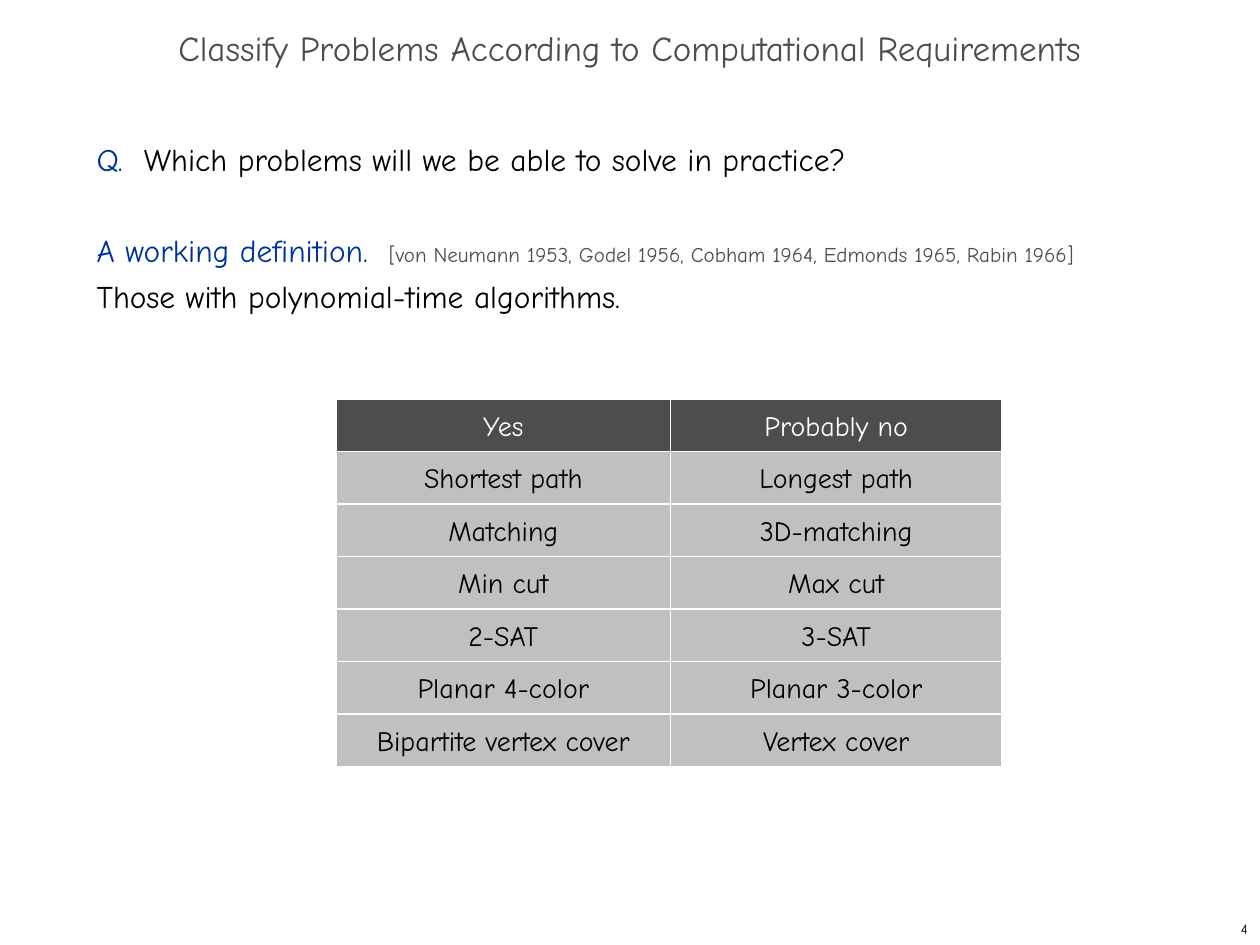
from lxml.etree import SubElement
from pptx import Presentation
from pptx.dml.color import RGBColor
from pptx.enum.shapes import MSO_SHAPE
from pptx.enum.text import MSO_ANCHOR, PP_ALIGN
from pptx.oxml.ns import qn
from pptx.util import Pt

COLORS = {
    "black": "000000",
    "white": "FFFFFF",
    "blue": "003399",
    "dark": "4D4D4D",
    "light": "C0C0C0",
}


class SlideWriter:
    """Holds the style and the current slide, and adds each kind of element."""

    def __init__(self, slide, font="Comic Neue"):
        self.slide = slide
        self.font = font

    def color(self, name):
        return RGBColor.from_string(COLORS[name])

    def run(self, paragraph, wording, size, color):
        run = paragraph.add_run()
        run.text = wording
        run.font.name = self.font
        run.font.size = Pt(size)
        run.font.color.rgb = self.color(color)

    def tab_stop(self, paragraph, position):
        stops = SubElement(paragraph._p.get_or_add_pPr(), qn("a:tabLst"))
        SubElement(stops, qn("a:tab"), pos=str(Pt(position)), algn="l")

    def text_box(self, left, top, width, height, anchor=MSO_ANCHOR.MIDDLE):
        box = self.slide.shapes.add_textbox(Pt(left), Pt(top), Pt(width), Pt(height))
        frame = box.text_frame
        frame.word_wrap = True
        frame.vertical_anchor = anchor
        return frame

    def line(self, left, top, width, height, wording, size, color, align, spacing=1.0):
        paragraph = self.text_box(left, top, width, height).paragraphs[0]
        paragraph.alignment = align
        paragraph.line_spacing = spacing
        self.run(paragraph, wording, size, color)

    def body(self, left, top, width, height, entries, pitch):
        frame = self.text_box(left, top, width, height, MSO_ANCHOR.TOP)
        for index, (tab, lines) in enumerate(entries):
            paragraph = frame.add_paragraph() if index else frame.paragraphs[0]
            paragraph.line_spacing = Pt(pitch)
            if index:
                paragraph.space_before = Pt(pitch)
            self.tab_stop(paragraph, tab)
            for number, runs in enumerate(lines):
                if number:
                    paragraph.add_line_break()
                for wording, size, color in runs:
                    self.run(paragraph, wording, size, color)

    def cell(self, left, top, width, height, wording, fill, color):
        cell = self.slide.shapes.add_shape(
            MSO_SHAPE.RECTANGLE, Pt(left), Pt(top), Pt(width), Pt(height))
        cell.shadow.inherit = False
        cell.fill.solid()
        cell.fill.fore_color.rgb = self.color(fill)
        cell.line.color.rgb = self.color("white")
        cell.line.width = Pt(0.75)
        frame = cell.text_frame
        frame.word_wrap = False
        frame.vertical_anchor = MSO_ANCHOR.MIDDLE
        paragraph = frame.paragraphs[0]
        paragraph.alignment = PP_ALIGN.CENTER
        self.run(paragraph, wording, 16, color)

    def grid(self, top, columns, row_height, rows):
        for index, wordings in enumerate(rows):
            fill, color = ("light", "black") if index else ("dark", "white")
            for (left, width), wording in zip(columns, wordings):
                self.cell(left, top + index * row_height, width, row_height,
                          wording, fill, color)


def main():
    deck = Presentation()
    deck.slide_width, deck.slide_height = Pt(720), Pt(540)
    writer = SlideWriter(deck.slides.add_slide(deck.slide_layouts[6]))

    writer.line(570, 522, 150, 18, "4", 8, "black", PP_ALIGN.RIGHT)
    writer.line(0, 12, 720, 36,
                "Classify Problems According to Computational Requirements",
                20, "dark", PP_ALIGN.CENTER, 0.7)

    question = [[
        ("Q.\t", 18, "blue"),
        ("Which problems will we be able to solve in practice?", 18, "black"),
    ]]
    definition = [
        [
            ("A working definition.\t", 18, "blue"),
            ("[von Neumann 1953, Godel 1956, Cobham 1964, Edmonds 1965, Rabin 1966]",
             12, "dark"),
        ],
        [("Those with polynomial-time algorithms.", 18, "black")],
    ]
    writer.body(48.2, 72.2, 618, 426, [(27, question), (167, definition)], 26)

    problems = [
        ("Yes", "Probably no"),
        ("Shortest path", "Longest path"),
        ("Matching", "3D-matching"),
        ("Min cut", "Max cut"),
        ("2-SAT", "3-SAT"),
        ("Planar 4-color", "Planar 3-color"),
        ("Bipartite vertex cover", "Vertex cover"),
    ]
    writer.grid(228, [(192, 191.25), (383.25, 189.25)], 30, problems)

    deck.save("out.pptx")


if __name__ == "__main__":
    main()
